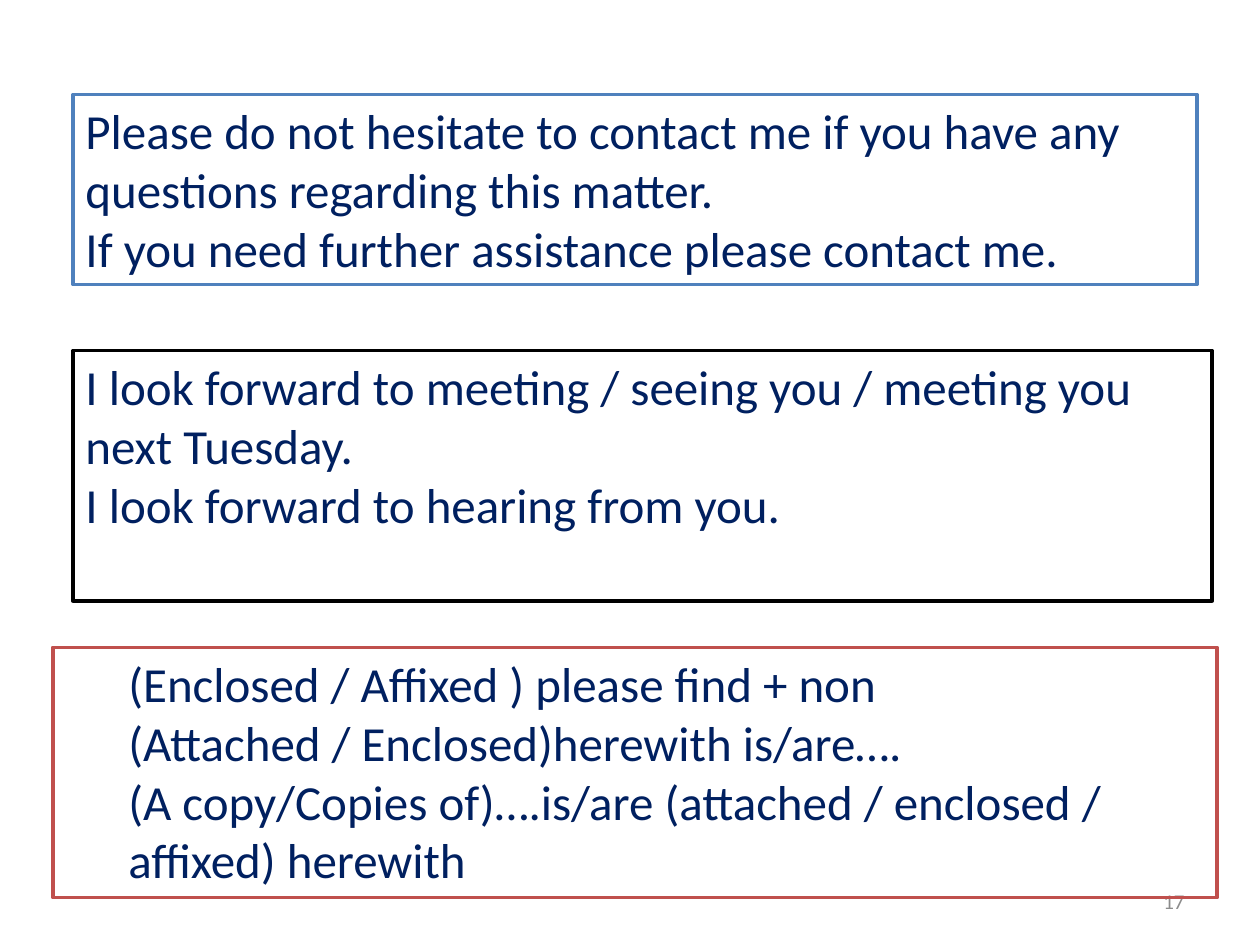
from dataclasses import dataclass

from pptx import Presentation
from pptx.dml.color import RGBColor
from pptx.enum.text import MSO_ANCHOR as Anchor, PP_ALIGN as Align
from pptx.util import Inches, Pt

WIDTH, HEIGHT = Inches(10), Inches(7.5)
NAVY = RGBColor(0x00, 0x20, 0x60)
BLUE = RGBColor(0x4F, 0x81, 0xBD)
BLACK = RGBColor(0x00, 0x00, 0x00)
RED = RGBColor(0xC0, 0x50, 0x4D)
GRAY = RGBColor(0x8C, 0x8C, 0x8C)


@dataclass(frozen=True)
class TextBox:
    left: float
    top: float
    width: float
    height: float
    lines: tuple[str, ...]
    border: RGBColor | None = None
    level: int = 0
    size: int = 28
    color: RGBColor = NAVY
    align: Align = Align.LEFT
    anchor: Anchor = Anchor.TOP


BOXES = (
    TextBox(0.717, 0.927, 0.233, 0.053, ("17",), size=12, color=GRAY,
            align=Align.RIGHT, anchor=Anchor.MIDDLE),
    TextBox(0.058, 0.1, 0.892, 0.201, (
        "Please do not hesitate to contact me if you have any questions "
        "regarding this matter.",
        "If you need further assistance please contact me.",
    ), BLUE),
    TextBox(0.058, 0.371, 0.904, 0.265, (
        "I look forward to meeting / seeing you / meeting you next Tuesday.",
        "I look forward to hearing from you.",
    ), BLACK),
    TextBox(0.042, 0.685, 0.924, 0.265, (
        "(Enclosed / Affixed ) please find + non",
        "(Attached / Enclosed)herewith is/are….",
        "(A copy/Copies of)….is/are (attached / enclosed / affixed) herewith",
    ), RED, level=1),
)


def set_values(target: object, values: dict[str, object]) -> None:
    for name, value in values.items():
        setattr(target, name, value)


def draw_box(slide, box: TextBox) -> None:
    sp = slide.shapes.add_textbox(
        int(WIDTH * box.left), int(HEIGHT * box.top),
        int(WIDTH * box.width), int(HEIGHT * box.height))
    if box.border is not None:
        sp.line.color.rgb = box.border
        sp.line.width = Pt(2)
    tf = sp.text_frame
    set_values(tf, {"word_wrap": True, "vertical_anchor": box.anchor})
    tf.text = "\n".join(box.lines)
    for p in tf.paragraphs:
        set_values(p, {"level": box.level, "alignment": box.align})
        for r in p.runs:
            set_values(r.font, {"name": "Calibri", "size": Pt(box.size)})
            r.font.color.rgb = box.color


prs = Presentation()
set_values(prs, {"slide_width": WIDTH, "slide_height": HEIGHT})
slide = prs.slides.add_slide(prs.slide_layouts[6])
for box in BOXES:
    draw_box(slide, box)
prs.save("out.pptx")
